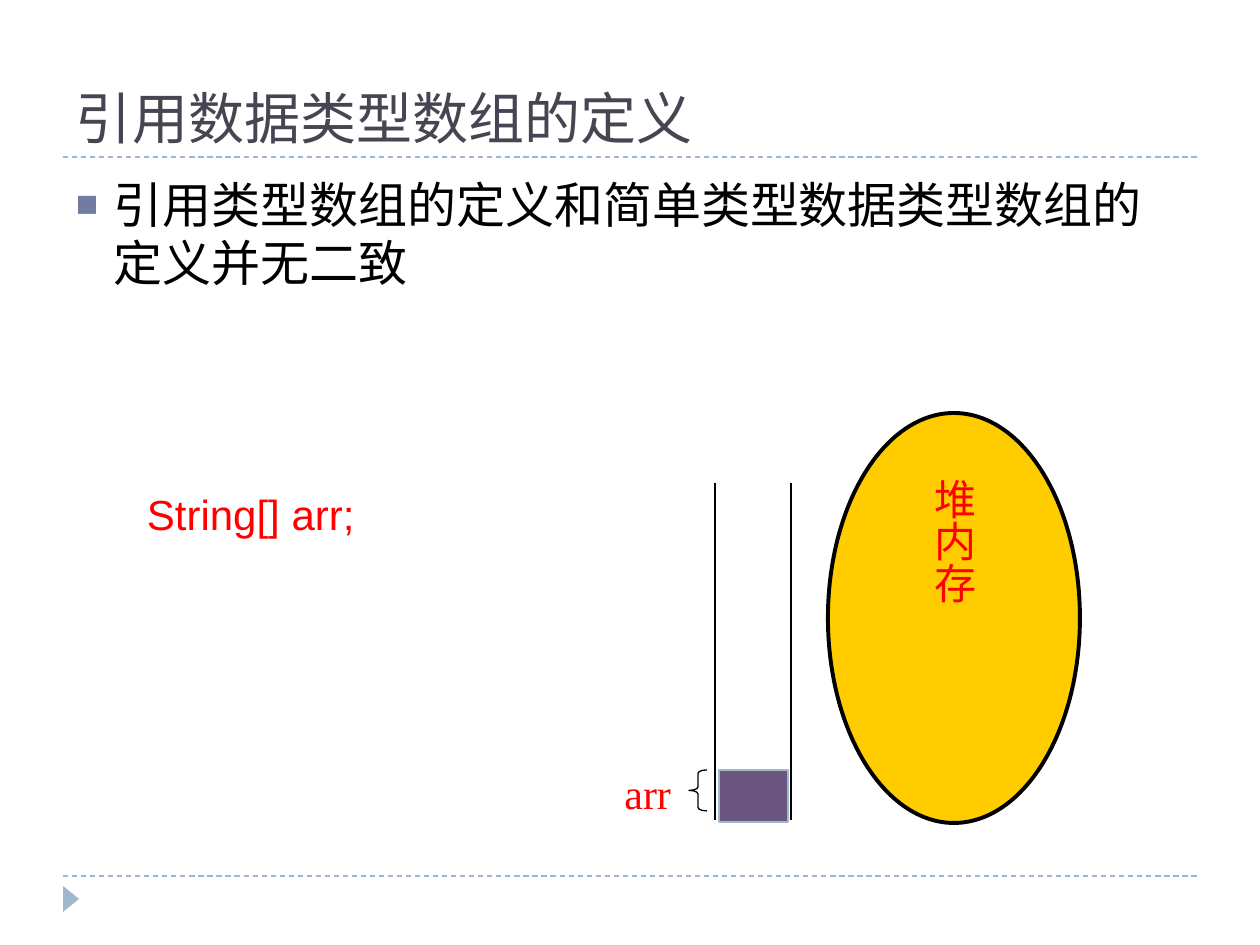
from dataclasses import dataclass

from lxml.etree import SubElement
from pptx import Presentation
from pptx.dml.color import RGBColor
from pptx.enum.dml import MSO_LINE
from pptx.enum.shapes import MSO_CONNECTOR, MSO_SHAPE
from pptx.enum.text import MSO_ANCHOR, PP_ALIGN
from pptx.oxml.ns import qn
from pptx.util import Emu, Pt

PIXEL = 914400 // 126
COLORS = {
    "title": "464653", "black": "000000", "red": "FF0000", "bullet": "727CA3",
    "accent": "9FB8CD", "cell": "6B5680", "heap": "FFCC00",
}


@dataclass
class Rule:
    start: tuple[int, int]
    end: tuple[int, int]
    color: str = "black"
    width: float = 1.5
    dashed: bool = False


@dataclass
class Block:
    kind: MSO_SHAPE
    box: tuple[int, int, int, int]
    fill: str | None = None
    line: str | None = None
    width: float = 0.75
    rotation: int = 0
    adjustments: tuple[float, ...] = ()


RULES = [
    Rule((63, 876), (1197, 876), "accent", 0.75, True),
    Rule((63, 157), (1197, 157), "accent", 0.75, True),
    # Open-topped stack
    Rule((791, 483), (791, 820)),
    Rule((715, 483), (715, 820)),
    Rule((723, 822), (786, 822)),
]
FOOTER_MARK = Block(MSO_SHAPE.ISOSCELES_TRIANGLE, (58, 891, 26, 16), "accent", rotation=90)
BRACE = Block(MSO_SHAPE.LEFT_BRACE, (689, 770, 18, 41), line="black", adjustments=(0.19, 0.5))
STACK_CELL = Block(MSO_SHAPE.RECTANGLE, (719, 770, 69, 52), "cell", "accent")
HEAP = Block(MSO_SHAPE.OVAL, (828, 413, 252, 410), "heap", "black", 2.25)


def px(value: float) -> Emu:
    return Emu(round(value * PIXEL))


def rgb(name: str) -> RGBColor:
    return RGBColor.from_string(COLORS[name])


def draw_rule(slide, rule: Rule) -> None:
    points = [px(value) for value in (*rule.start, *rule.end)]
    connector = slide.shapes.add_connector(MSO_CONNECTOR.STRAIGHT, *points)
    connector.line.color.rgb = rgb(rule.color)
    connector.line.width = Pt(rule.width)
    if rule.dashed:
        connector.line.dash_style = MSO_LINE.DASH
    SubElement(connector._element.spPr, qn("a:effectLst"))


def draw_block(slide, block: Block):
    shape = slide.shapes.add_shape(block.kind, *map(px, block.box))
    shape.shadow.inherit = False
    shape.rotation = block.rotation
    for index, value in enumerate(block.adjustments):
        shape.adjustments[index] = value
    if block.fill:
        shape.fill.solid()
        shape.fill.fore_color.rgb = rgb(block.fill)
    else:
        shape.fill.background()
    if block.line:
        shape.line.color.rgb = rgb(block.line)
        shape.line.width = Pt(block.width)
    else:
        shape.line.fill.background()
    return shape


def write(shape, text: str, *, size: int = 24, font: str = "Arial", color: str = "red",
          align=PP_ALIGN.LEFT, anchor=MSO_ANCHOR.TOP, before: float = 0,
          margins: tuple[int, int] = (13, 6), wrap: bool = True):
    frame = shape.text_frame
    frame.word_wrap = wrap
    frame.vertical_anchor = anchor
    frame.margin_left = frame.margin_right = px(margins[0])
    frame.margin_top = frame.margin_bottom = px(margins[1])
    paragraph = frame.paragraphs[0]
    paragraph.alignment = align
    paragraph.space_before = Pt(before)
    run = paragraph.add_run()
    run.text = text
    run.font.size = Pt(size)
    run.font.name = font
    run.font.color.rgb = rgb(color)
    return paragraph


def add_bullet(paragraph, indent: int) -> None:
    properties = paragraph._p.get_or_add_pPr()
    properties.set("marL", str(px(indent)))
    properties.set("indent", str(-px(indent)))
    color = SubElement(properties, qn("a:buClr"))
    SubElement(color, qn("a:srgbClr"), val=COLORS["bullet"])
    SubElement(properties, qn("a:buSzPct"), val="76000")
    SubElement(properties, qn("a:buFont"), typeface="Arial")
    SubElement(properties, qn("a:buChar"), char="■")


def text_box(slide, *box: int):
    return slide.shapes.add_textbox(*map(px, box))


presentation = Presentation()
presentation.slide_width, presentation.slide_height = px(1260), px(945)
slide = presentation.slides.add_slide(presentation.slide_layouts[5])

# Title and statement
title = slide.shapes.title
title.left, title.top, title.width, title.height = map(px, (63, 21, 1134, 136))
write(title, "引用数据类型数组的定义", size=32, color="title", anchor=MSO_ANCHOR.BOTTOM)
statement = write(text_box(slide, 63, 168, 1134, 677),
                  "引用类型数组的定义和简单类型数据类型数组的定义并无二致",
                  size=28, font="Times New Roman", color="black", before=6)
add_bullet(statement, 38)

# Declaration and its name on the stack
write(text_box(slide, 134, 483, 388, 63), "String[] arr;", before=2)
write(text_box(slide, 501, 760, 185, 66), "arr", font="Times New Roman",
      align=PP_ALIGN.RIGHT, margins=(15, 8))

# Rules, stack and footer mark
for rule in RULES:
    draw_rule(slide, rule)
for block in (FOOTER_MARK, BRACE, STACK_CELL):
    draw_block(slide, block)

# Heap with vertical label
heap = draw_block(slide, HEAP)
write(heap, "堆内存", align=PP_ALIGN.CENTER, anchor=MSO_ANCHOR.MIDDLE, wrap=False)
heap.text_frame._txBody.bodyPr.set("vert", "eaVert")

presentation.save("out.pptx")
